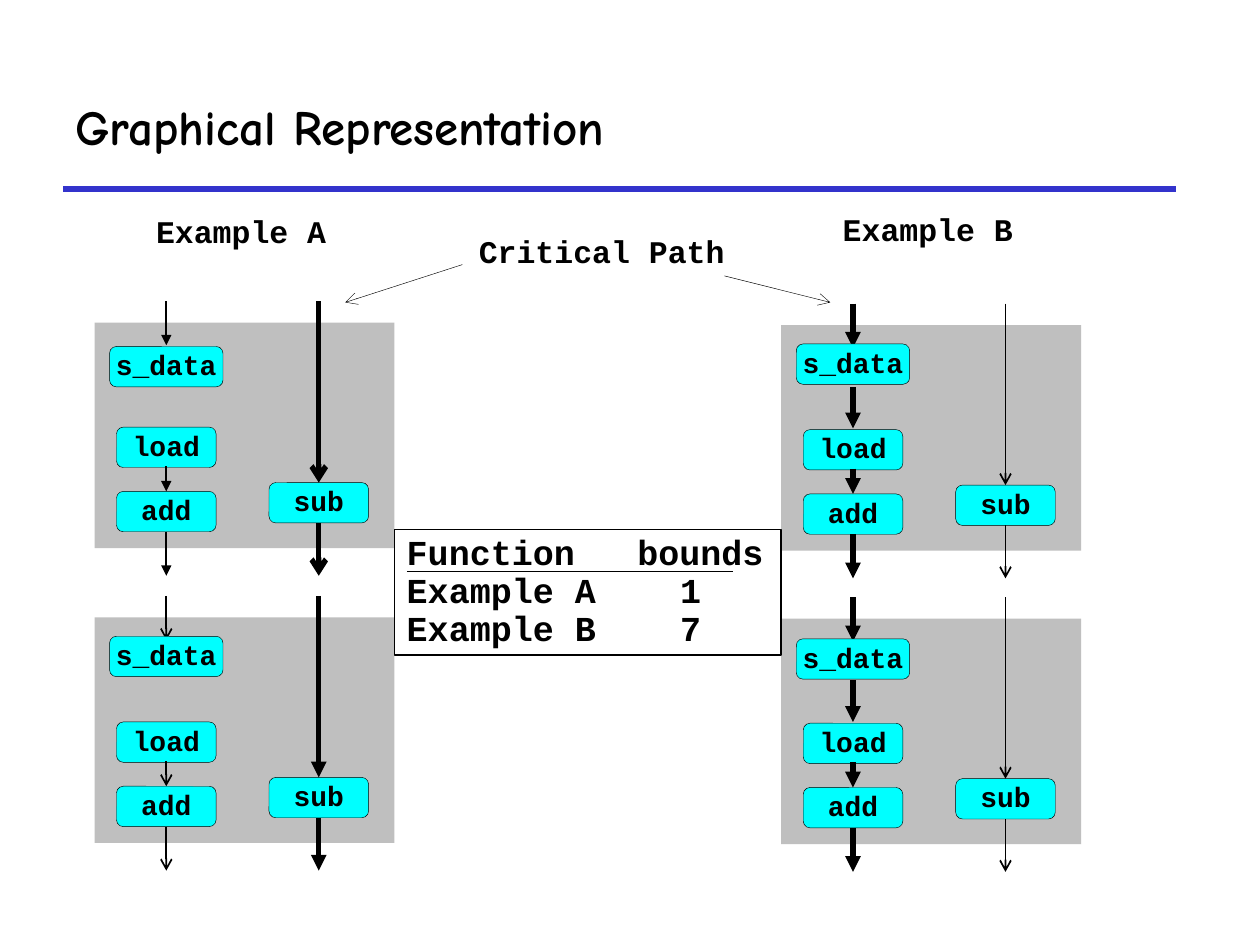
from lxml.etree import SubElement
from pptx import Presentation
from pptx.dml.color import RGBColor
from pptx.enum.shapes import MSO_CONNECTOR, MSO_SHAPE
from pptx.enum.text import MSO_ANCHOR, PP_ALIGN
from pptx.oxml.ns import qn
from pptx.util import Inches, Pt

HUES = {"ink": "000000", "rule": "3333CC", "panel": "BFBFBF",
        "step": "00FFFF", "paper": "FFFFFF"}
CODE, TITLE = "Courier New", "Comic Neue"


def hue(name):
    return RGBColor.from_string(HUES[name])


class Sketch:
    def __init__(self, slide):
        self.slide = slide

    def letter(self, shape, text, size, face=CODE, align=PP_ALIGN.LEFT,
               space=0.9, stops=()):
        """Fill a shape with bold lines; stops gives a tab stop per line."""
        frame = shape.text_frame
        frame.text = text
        for i, para in enumerate(frame.paragraphs):
            para.alignment = align
            para.line_spacing = space
            if stops:
                tabs = SubElement(para._p.get_or_add_pPr(), qn("a:tabLst"))
                SubElement(tabs, qn("a:tab"), pos=str(Inches(stops[i])), algn="l")
            font = para.font
            font.name, font.size, font.bold = face, Pt(size), True
            font.color.rgb = hue("ink")

    def label(self, text, box, size=18, anchor=MSO_ANCHOR.TOP, **style):
        shape = self.slide.shapes.add_textbox(*map(Inches, box))
        shape.text_frame.word_wrap = True
        shape.text_frame.vertical_anchor = anchor
        self.letter(shape, text, size, **style)

    def block(self, box, fill, edge=None, kind=MSO_SHAPE.RECTANGLE):
        shape = self.slide.shapes.add_shape(kind, *map(Inches, box))
        shape.shadow.inherit = False
        shape.fill.solid()
        shape.fill.fore_color.rgb = hue(fill)
        if edge:
            shape.line.color.rgb = hue("ink")
            shape.line.width = Pt(edge)
        else:
            shape.line.fill.background()
        return shape

    def step(self, text, x, y, wide=0.79):
        shape = self.block((x - wide / 2, y, wide, 0.32), "step", 0.25,
                           MSO_SHAPE.ROUNDED_RECTANGLE)
        frame = shape.text_frame
        frame.margin_left = frame.margin_right = 0
        frame.margin_top = frame.margin_bottom = 0
        frame.vertical_anchor = MSO_ANCHOR.MIDDLE
        frame.word_wrap = False
        self.letter(shape, text, 16, align=PP_ALIGN.CENTER)

    def line(self, start, end, width, head=None, color="ink"):
        link = self.slide.shapes.add_connector(
            MSO_CONNECTOR.STRAIGHT, *map(Inches, (*start, *end)))
        link.line.color.rgb = hue(color)
        link.line.width = Pt(width)
        if head:
            SubElement(link.line._get_or_add_ln(), qn("a:tailEnd"), type=head)
        SubElement(link._element.spPr, qn("a:effectLst"))

    def graph(self, left, top, data, flows, widths, heads):
        """Draw one loop pass; data is the s_data offset from the panel top."""
        self.block((left, top, 2.38, 1.79), "panel")
        cols = left + 0.57, left + 1.78
        for text, col, drop in (("sub", 1, 1.27), ("add", 0, 1.34), ("load", 0, 0.83)):
            self.step(text, cols[col], top + drop)
        for x, spans, width, head in zip(cols, flows, widths, heads):
            for a, b in spans:
                self.line((x, top + a), (x, top + b), width, head)
        self.step("s_data", cols[0], top + data, 0.9)


def main():
    deck = Presentation()
    deck.slide_width, deck.slide_height = Inches(10), Inches(7.5)
    art = Sketch(deck.slides.add_slide(deck.slide_layouts[6]))

    art.line((0.5, 1.5), (9.33, 1.5), 3, color="rule")
    art.label("Graphical Representation", (0.5, 0.5, 8.83, 1), 28,
              MSO_ANCHOR.MIDDLE, face=TITLE, space=1)

    loop = [(-0.17, 0.18), (1.14, 1.34), (1.66, 2.01)]
    count = [(-0.17, 1.27), (1.59, 2.01)]
    chain = loop + [(0.49, 0.82)]
    mixed = "triangle", "arrow"
    for left, top, data, flow, widths, heads in (
            (0.75, 2.56, 0.19, loop, (1, 3), mixed),
            (0.75, 4.9, 0.15, loop, (1, 3), mixed[::-1]),
            (6.2, 2.58, 0.15, chain, (3, 1), mixed),
            (6.2, 4.91, 0.16, chain, (3, 1), mixed)):
        art.graph(left, top, data, (flow, count), widths, heads)

    art.label("Example A", (1.14, 1.67, 1.6, 0.37))
    art.label("Example B", (6.59, 1.65, 1.6, 0.37))
    art.label("Critical Path", (3.39, 1.83, 2.77, 0.37), align=PP_ALIGN.CENTER)
    art.line((3.67, 2.1), (2.74, 2.4), 0.25, "arrow")
    art.line((5.75, 2.19), (6.59, 2.4), 0.25, "arrow")

    bounds = art.block((3.13, 4.2, 3.07, 1), "paper", 0.75)
    bounds.text_frame.vertical_anchor = MSO_ANCHOR.TOP
    art.letter(bounds, "Function\tbounds\nExample A\t1\nExample B\t7", 20,
               stops=(1.83, 2.17, 2.17))
    art.line((3.23, 4.53), (5.82, 4.53), 0.25)
    deck.save("out.pptx")


if __name__ == "__main__":
    main()
